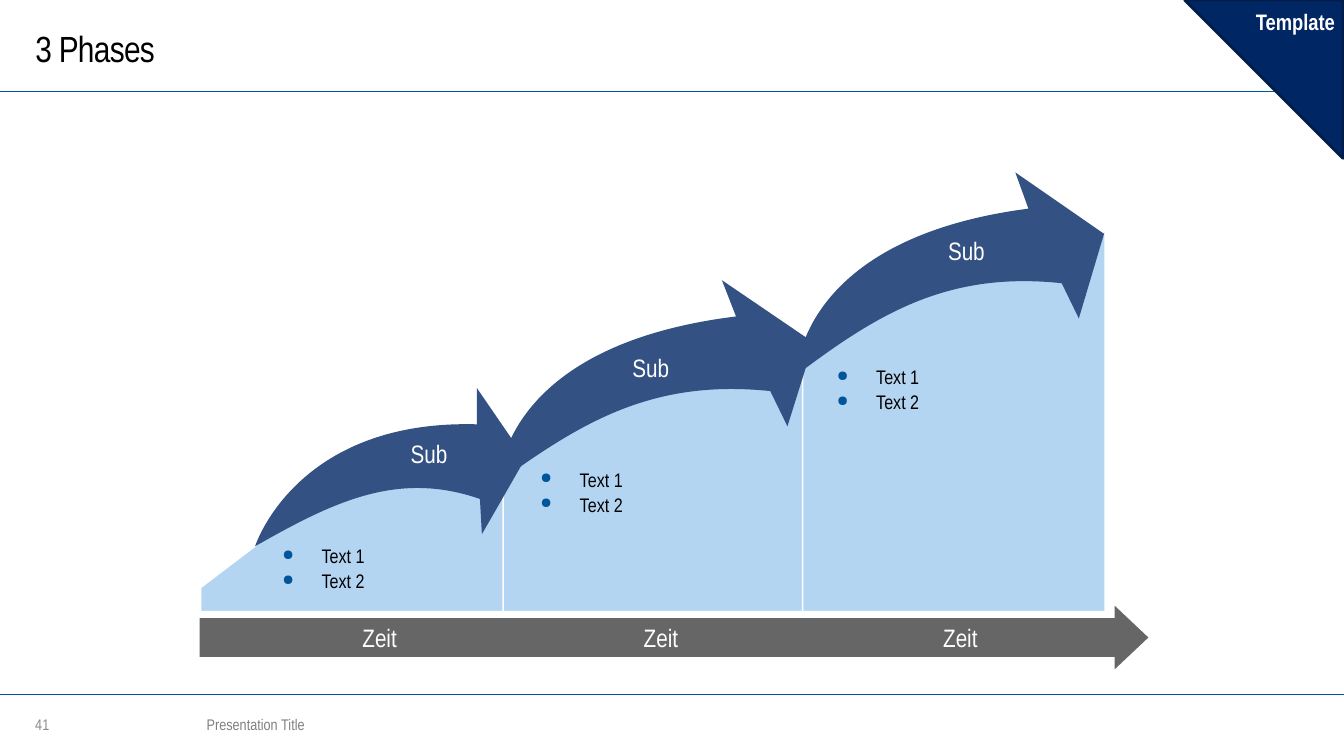
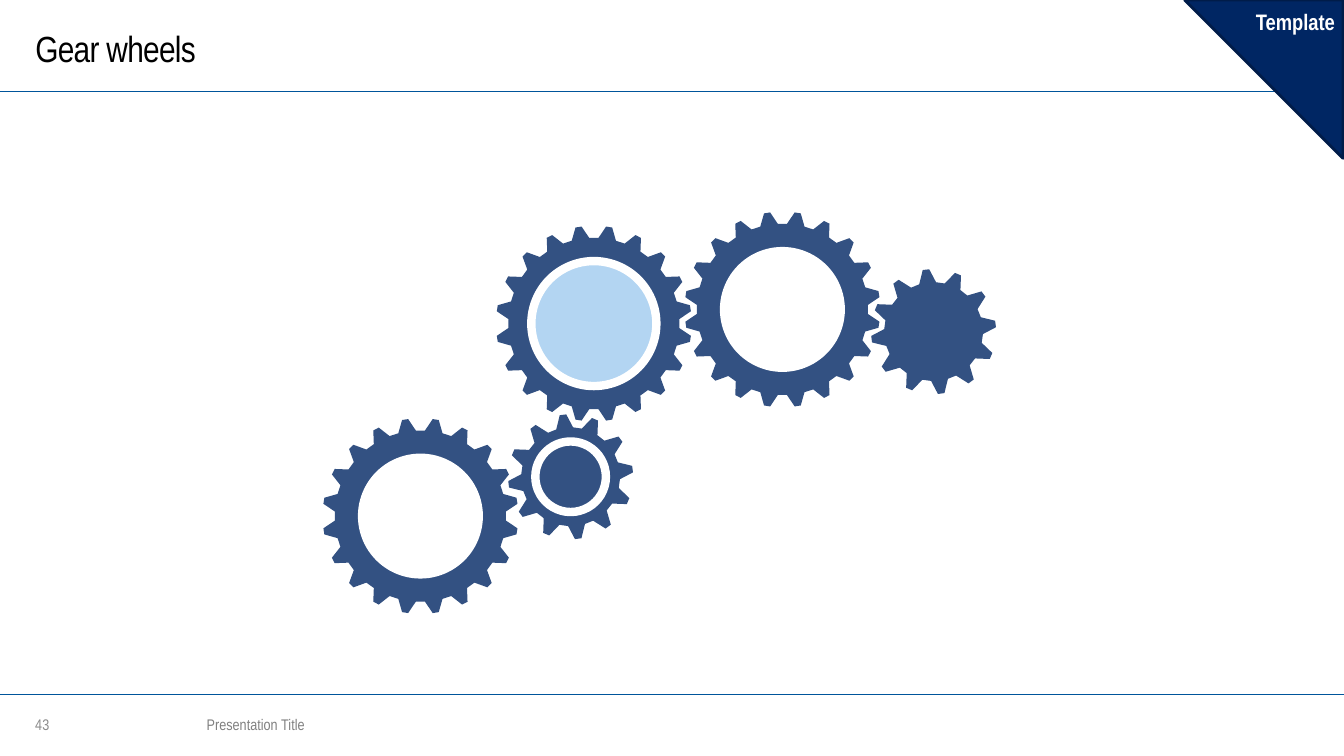
from math import cos, radians, sin

from lxml import etree
from pptx import Presentation
from pptx.dml.color import RGBColor
from pptx.enum.shapes import MSO_CONNECTOR, MSO_SHAPE
from pptx.enum.text import MSO_ANCHOR, MSO_AUTO_SIZE, PP_ALIGN
from pptx.oxml.ns import qn
from pptx.util import Pt

PX = 9144  # EMU per px, 100 px to the inch
SLIDE_WIDTH, SLIDE_HEIGHT = 1333, 750
FONT = "Arial Narrow"

BLACK = RGBColor(0x00, 0x00, 0x00)
WHITE = RGBColor(0xFF, 0xFF, 0xFF)
RULE_BLUE = RGBColor(0x00, 0x55, 0x9B)
STEEL_BLUE = RGBColor(0x33, 0x51, 0x82)
LIGHT_BLUE = RGBColor(0xB3, 0xD5, 0xF2)
NAVY = RGBColor(0x00, 0x26, 0x63)
DARK_NAVY = RGBColor(0x00, 0x1C, 0x49)
ARROW_GREY = RGBColor(0x66, 0x66, 0x66)
NUMBER_GREY = RGBColor(0x8C, 0x8C, 0x8C)
FOOTER_GREY = RGBColor(0x80, 0x80, 0x80)

LEFT, CENTER, RIGHT = PP_ALIGN.LEFT, PP_ALIGN.CENTER, PP_ALIGN.RIGHT
TOP, MIDDLE = MSO_ANCHOR.TOP, MSO_ANCHOR.MIDDLE
STRAIGHT = MSO_CONNECTOR.STRAIGHT
RECTANGLE, OVAL = MSO_SHAPE.RECTANGLE, MSO_SHAPE.OVAL
RIGHT_ARROW, TRIANGLE = MSO_SHAPE.RIGHT_ARROW, MSO_SHAPE.ISOSCELES_TRIANGLE

RULE_TOPS = (91, 689)
FOOTER_TEXT = "Presentation Title"
CORNER_TEXT, CORNER_BOX = "Template", (1175, 0, 157, 157)

# Outlines: a pair is a straight step, six numbers are a Bezier curve.
PHASES = [
    {
        "area": [(499, 456), (499, 619), (199, 619), (199, 583), (274, 526),
                 (362, 488), (458, 477)],
        "arrow": [(473, 385), (521, 455), (478, 530), (476, 495),
                  (395, 467, 332, 497, 253, 542),
                  (253, 542, 293, 416, 473, 421)],
        "sub": ("Sub", (407, 435, 37, 30)),
        "time": ("Zeit", (359, 617, 35, 30)),
        "bullets": (["Text 1", "Text 2"], (272, 532, 226, 64)),
    },
    {
        "area": [(796, 343), (796, 619), (498, 619), (498, 452), (585, 404),
                 (664, 352), (749, 348)],
        "arrow": [(716, 278), (807, 340), (781, 423), (764, 388),
                  (648, 376, 578, 418, 495, 478),
                  (495, 478, 495, 343, 730, 314)],
        "sub": ("Sub", (627, 350, 37, 30)),
        "time": ("Zeit", (638, 617, 35, 30)),
        "bullets": (["Text 1", "Text 2"], (528, 456, 251, 64)),
    },
    {
        "area": [(1096, 230), (1096, 619), (779, 619), (779, 384), (855, 299),
                 (956, 243), (1047, 238)],
        "arrow": [(1007, 171), (1095, 232), (1070, 316), (1053, 281),
                  (940, 269, 871, 311, 790, 372),
                  (790, 372, 790, 237, 1020, 207)],
        "sub": ("Sub", (940, 233, 37, 30)),
        "time": ("Zeit", (935, 617, 35, 30)),
        "bullets": (["Text 1", "Text 2"], (822, 354, 251, 64)),
    },
]

# Teeth, outer radius, root radius, hub radius, angle of the first gap
LARGE_GEAR = (20, 97, 85, 62, 0)
SMALL_GEAR = (12, 62, 49, 35, 8)
# Centre, gear type, hub fill, white ring around the hub
GEARS = [
    ((417, 512), LARGE_GEAR, WHITE, False),
    ((566, 473), SMALL_GEAR, STEEL_BLUE, True),
    ((589, 321), LARGE_GEAR, LIGHT_BLUE, True),
    ((776, 307), LARGE_GEAR, WHITE, False),
    ((926, 329), SMALL_GEAR, STEEL_BLUE, False),
]


def emu(*lengths):
    return [round(length * PX) for length in lengths]


def paint(shape, fill, line=None, line_width=1):
    shape.shadow.inherit = False
    shape.fill.solid()
    shape.fill.fore_color.rgb = fill
    if line is None:
        shape.line.fill.background()
    else:
        shape.line.color.rgb = line
        shape.line.width = Pt(line_width)
    return shape


def add_preset(slide, kind, box, fill, line=None, line_width=1):
    shape = slide.shapes.add_shape(kind, *emu(*box))
    return paint(shape, fill, line, line_width)


def add_outline(slide, steps, fill, line=None):
    """Draw a closed outline; each six-number step becomes one curve."""
    start, *points = [emu(*step[index:index + 2])
                      for step in steps for index in range(0, len(step), 2)]
    builder = slide.shapes.build_freeform(*start, scale=1.0)
    builder.add_line_segments(points, close=True)
    shape = builder.convert_to_shape()
    segments = iter(list(shape.element.iter(qn("a:lnTo"))))
    for step in steps[1:]:
        segment = next(segments)
        if len(step) == 6:
            segment.tag = qn("a:cubicBezTo")
            for extra in (next(segments), next(segments)):
                segment.append(extra[0])
                extra.getparent().remove(extra)
    return paint(shape, fill, line)


def format_text(shape, size, color, align=LEFT, anchor=MIDDLE, inset=0,
                wrap=True, bold=False):
    frame = shape.text_frame
    frame.auto_size = MSO_AUTO_SIZE.NONE
    frame.word_wrap = wrap
    frame.vertical_anchor = anchor
    frame.margin_left = frame.margin_right = inset * PX
    frame.margin_top = frame.margin_bottom = inset * PX
    for paragraph in frame.paragraphs:
        paragraph.alignment = align
        for run in paragraph.runs:
            run.font.name = FONT
            run.font.size = Pt(size)
            run.font.bold = bold
            run.font.color.rgb = color


def add_label(slide, text, box, size, color, **style):
    label = slide.shapes.add_textbox(*emu(*box))
    label.text_frame.text = text
    format_text(label, size, color, **style)
    return label


def add_bullets(slide, items, box):
    label = add_label(slide, "\n".join(items), box, 14, BLACK,
                      anchor=TOP, inset=8)
    for index, paragraph in enumerate(label.text_frame.paragraphs):
        if index:
            paragraph.space_before = Pt(1)
        properties = paragraph._p.get_or_add_pPr()
        properties.set("marL", str(39 * PX))
        properties.set("indent", str(-39 * PX))
        bullet_color = etree.SubElement(properties, qn("a:buClr"))
        etree.SubElement(bullet_color, qn("a:srgbClr"), val=str(RULE_BLUE))
        etree.SubElement(properties, qn("a:buSzPct"), val="75000")
        etree.SubElement(properties, qn("a:buChar"), char="●")


def add_layout_rules(layout, slide):
    """Draw the header and footer rules and move them to the layout."""
    for top in RULE_TOPS:
        rule = slide.shapes.add_connector(
            STRAIGHT, *emu(0, top, SLIDE_WIDTH, top))
        rule.line.color.rgb = RULE_BLUE
        rule.line.width = Pt(1)
        etree.SubElement(rule.element.spPr, qn("a:effectLst"))
        layout.shapes.element.append(rule.element)


def add_frame(slide, title_text, number):
    """Fill the title and add the page number and footer."""
    title = slide.shapes.title
    title.left, title.top, title.width, title.height = emu(35, 4, 1029, 87)
    title.text_frame.text = title_text
    format_text(title, 26, BLACK)
    for run in title.text_frame.paragraphs[0].runs:
        run.font._element.set("spc", "-50")
    add_label(slide, number, (35, 705, 37, 28), 11, NUMBER_GREY)
    add_label(slide, FOOTER_TEXT, (205, 705, 682, 28), 11, FOOTER_GREY)


def add_corner(slide):
    corner = add_preset(slide, TRIANGLE, CORNER_BOX, NAVY, DARK_NAVY, 2)
    corner.adjustments[0] = 1
    corner.rotation = 270
    corner.text_frame.text = CORNER_TEXT
    format_text(corner, 16, WHITE, align=RIGHT, anchor=TOP, inset=8,
                wrap=False, bold=True)
    corner.text_frame._txBody.bodyPr.set("vert", "vert")


def draw_phases(slide):
    for phase in reversed(PHASES):
        add_outline(slide, phase["area"], LIGHT_BLUE, WHITE)
    add_preset(slide, RECTANGLE, (186, 606, 921, 35), WHITE)
    time_arrow = add_preset(slide, RIGHT_ARROW, (198, 601, 941, 63), ARROW_GREY)
    time_arrow.adjustments[0] = 0.61
    time_arrow.adjustments[1] = 0.53
    for phase in PHASES:
        add_outline(slide, phase["arrow"], STEEL_BLUE)
    for phase in PHASES:
        for text, box in (phase["time"], phase["sub"]):
            add_label(slide, text, box, 18, WHITE, align=CENTER, wrap=False)
        add_bullets(slide, *phase["bullets"])


def gear_points(center, teeth, outer, root, first_gap):
    pitch = 360 / teeth
    profile = ((-0.17, root), (0.17, root), (0.4, outer), (0.6, outer))
    points = []
    for tooth in range(teeth):
        for offset, radius in profile:
            angle = radians(first_gap + (tooth + offset) * pitch)
            points.append((center[0] + radius * sin(angle),
                           center[1] - radius * cos(angle)))
    return points


def draw_gears(slide):
    for center, gear, hub_fill, has_ring in GEARS:
        teeth, outer, root, hub, first_gap = gear
        add_outline(slide, gear_points(center, teeth, outer, root, first_gap),
                    STEEL_BLUE)
        hub_box = (center[0] - hub, center[1] - hub, 2 * hub, 2 * hub)
        add_preset(slide, OVAL, hub_box, hub_fill,
                   WHITE if has_ring else None, 6)


SLIDES = [
    ("3 Phases", "41", draw_phases),
    ("Gear wheels", "43", draw_gears),
]


def main():
    presentation = Presentation()
    presentation.slide_width, presentation.slide_height = emu(
        SLIDE_WIDTH, SLIDE_HEIGHT)
    layout = presentation.slide_layouts[5]
    for index, (title, number, draw) in enumerate(SLIDES):
        slide = presentation.slides.add_slide(layout)
        if index == 0:
            add_layout_rules(layout, slide)
        add_frame(slide, title, number)
        draw(slide)
        add_corner(slide)
    presentation.save("out.pptx")


if __name__ == "__main__":
    main()
